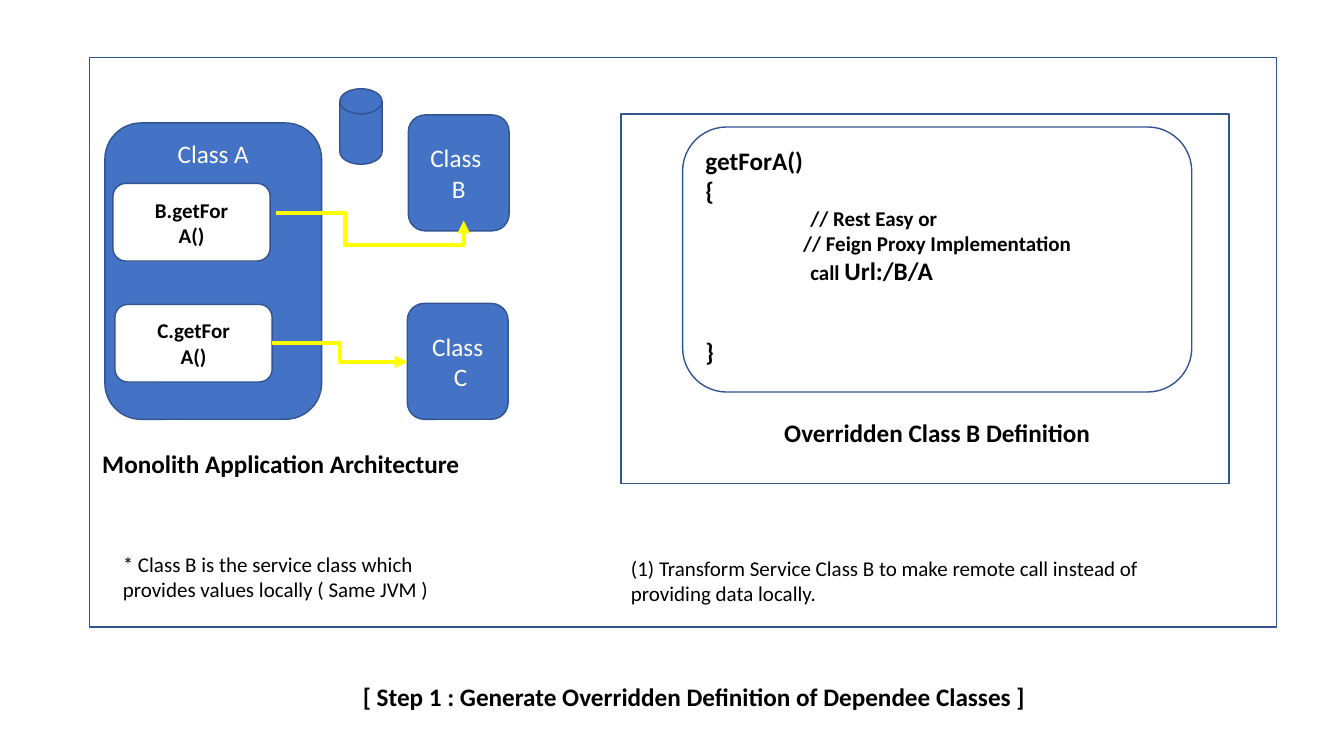
from lxml import etree
from pptx import Presentation
from pptx.dml.color import RGBColor
from pptx.enum.shapes import MSO_CONNECTOR, MSO_SHAPE as Shape
from pptx.enum.text import MSO_ANCHOR as Anchor, MSO_AUTO_SIZE as AutoSize, PP_ALIGN as Align
from pptx.oxml.ns import qn
from pptx.util import Inches, Pt

COLORS = {"paper": "FFFFFF", "class": "4472C4", "outline": "325490",
          "call": "FFFF00", "ink": "000000"}
FONT = "Calibri"


def rgb(name):
    """Return the named colour of the palette."""
    return RGBColor.from_string(COLORS[name])


def write(frame, text, size=18, bold=False, color="ink", align=Align.LEFT,
          indent=0, before=0, same_line=False):
    """Add a paragraph, or continue the last one, with the given format."""
    if frame.text and not same_line:
        paragraph = frame.add_paragraph()
    else:
        paragraph = frame.paragraphs[-1]
    if not same_line:
        paragraph.alignment = align
        paragraph.space_before = Pt(before)
        if indent:
            properties = paragraph._p.get_or_add_pPr()
            properties.set("marL", str(Inches(indent)))
            properties.set("indent", "0")
    run = paragraph.add_run()
    run.text = text
    run.font.name, run.font.size, run.font.bold = FONT, Pt(size), bold
    run.font.color.rgb = rgb(color)


def add_block(slide, kind, left, top, width, height, fill="paper", anchor=Anchor.MIDDLE):
    """Add an outlined preset shape and return its text frame."""
    block = slide.shapes.add_shape(kind, Inches(left), Inches(top), Inches(width), Inches(height))
    block.shadow.inherit = False
    block.fill.solid()
    block.fill.fore_color.rgb = rgb(fill)
    block.line.color.rgb = rgb("outline")
    block.line.width = Pt(1)
    block.text_frame.vertical_anchor = anchor
    return block.text_frame


def add_label(slide, text, left, top, width, height=0.4, **style):
    """Add a wrapping text box holding one paragraph."""
    label = slide.shapes.add_textbox(Inches(left), Inches(top), Inches(width), Inches(height))
    label.text_frame.word_wrap = True
    write(label.text_frame, text, **style)


def add_call(slide, start, end, preset, *bends):
    """Add a bent arrow whose bends are fractions of its extent."""
    call = slide.shapes.add_connector(MSO_CONNECTOR.ELBOW, *map(Inches, start + end))
    call.line.color.rgb = rgb("call")
    call.line.width = Pt(3)
    properties = call._element.spPr
    etree.SubElement(properties.find(qn("a:ln")), qn("a:tailEnd"), type="triangle")
    etree.SubElement(properties, qn("a:effectLst"))
    geometry = properties.find(qn("a:prstGeom"))
    geometry.set("prst", preset)
    guides = geometry.find(qn("a:avLst"))
    for number, bend in enumerate(bends, 1):
        etree.SubElement(guides, qn("a:gd"), name=f"adj{number}", fmla=f"val {round(bend * 100000)}")


def add_monolith(slide, left, top):
    """Draw Class A with its local calls to classes B and C."""
    add_label(slide, " Monolith Application Architecture", left - 0.18, top + 3.18, 5.04, bold=True)
    class_a = add_block(slide, Shape.ROUNDED_RECTANGLE, left, top, 2.15, 2.94,
                        fill="class", anchor=Anchor.TOP)
    write(class_a, "Class A", color="paper", align=Align.CENTER)
    for lines, x, y in ((("Class ", "B"), 3.01, -0.08), (("Class", " C"), 3, 1.79)):
        service = add_block(slide, Shape.ROUNDED_RECTANGLE, left + x, top + y, 1, 1.15, fill="class")
        for line in lines:
            write(service, line, color="paper", align=Align.CENTER)
    for callee, x, y in (("B", 0.08, 0.6), ("C", 0.1, 1.8)):
        method = add_block(slide, Shape.ROUNDED_RECTANGLE, left + x, top + y, 1.56, 0.77)
        for line in (f"{callee}.getFor", "A()"):
            write(method, line, size=15, bold=True, align=Align.CENTER)
    add_call(slide, (left + 1.7, top + 0.89), (left + 3.56, top + 0.97),
             "bentConnector4", 0.366, 4.042)
    add_call(slide, (left + 1.66, top + 2.18), (left + 3, top + 2.37), "bentConnector3", 0.5)
    add_block(slide, Shape.FLOWCHART_MAGNETIC_DISK, left + 2.33, top - 0.34, 0.42, 0.75, fill="class")


def add_definition(slide, left, top, width, height):
    """Draw the framed code of the overridden Class B."""
    add_block(slide, Shape.RECTANGLE, left, top, width, height)
    add_label(slide, "Overridden Class B Definition", left + 1.52, top + 2.96, 3.4, bold=True)
    code = add_block(slide, Shape.ROUNDED_RECTANGLE, left + 0.61, top + 0.13, 5.05, 2.63,
                     anchor=Anchor.TOP)
    write(code, "getForA()", bold=True)
    write(code, "{", bold=True)
    write(code, "// Rest Easy or", size=15, bold=True, indent=1.04)
    write(code, "// Feign Proxy Implementation", size=15, bold=True, align=Align.CENTER)
    write(code, "call ", size=15, bold=True, indent=1.04)
    write(code, "Url:/B/A", bold=True, same_line=True)
    write(code, "}", bold=True, before=36)


def add_step_title(slide, left, top, width, height):
    """Place the step name in the title placeholder."""
    title = slide.shapes.title
    title.left, title.top, title.width, title.height = map(Inches, (left, top, width, height))
    title.text_frame.auto_size = AutoSize.NONE
    title.text_frame.vertical_anchor = Anchor.TOP
    write(title.text_frame, "[ Step 1 : Generate Overridden Definition of Dependee Classes ]",
          bold=True, align=Align.CENTER)


def main():
    """Build the slide and save it."""
    deck = Presentation()
    deck.slide_width, deck.slide_height = Inches(13.33), Inches(7.5)
    slide = deck.slides.add_slide(deck.slide_layouts[5])
    add_block(slide, Shape.RECTANGLE, 0.89, 0.57, 11.77, 5.65)
    add_monolith(slide, 1.04, 1.22)
    add_definition(slide, 6.16, 1.13, 6.03, 3.67)
    add_step_title(slide, 0.44, 6.71, 12.89, 0.4)
    add_label(slide, "(1) Transform Service Class B to make remote call instead of providing data locally.",
              6.16, 5.46, 6.03, 0.6, size=15)
    add_label(slide, "* Class B is the service class which provides values locally ( Same JVM )",
              1.12, 5.42, 3.56, 0.6, size=15)
    deck.save("out.pptx")


if __name__ == "__main__":
    main()
